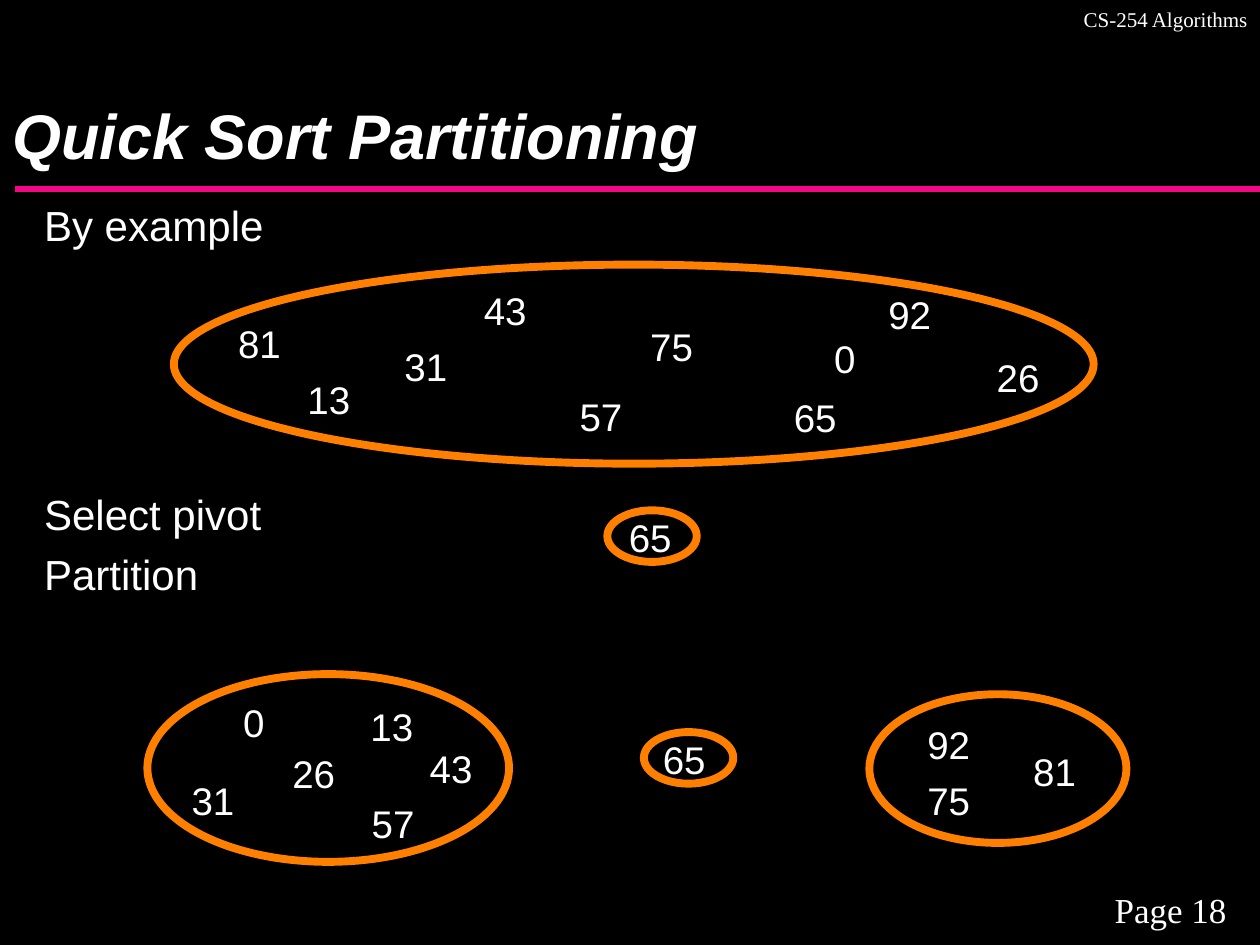
from lxml.etree import SubElement
from pptx import Presentation
from pptx.dml.color import RGBColor
from pptx.enum.shapes import MSO_CONNECTOR, MSO_SHAPE
from pptx.enum.text import MSO_ANCHOR, MSO_AUTO_SIZE, PP_ALIGN
from pptx.oxml.ns import qn
from pptx.util import Inches, Pt

BLACK = RGBColor(0x00, 0x00, 0x00)
WHITE = RGBColor(0xFF, 0xFF, 0xFF)
PINK = RGBColor(0xF2, 0x08, 0x84)
ORANGE = RGBColor(0xFF, 0x80, 0x00)

UNSORTED = [
    ("81", 1.8, 2.5), ("31", 3.12, 2.68), ("75", 5.07, 2.52),
    ("13", 2.35, 2.94), ("43", 3.75, 2.24), ("57", 4.51, 3.08),
    ("92", 6.96, 2.27), ("65", 6.21, 3.09), ("26", 7.82, 2.77),
    ("0", 6.53, 2.62),
]
PIVOT = [("65", 4.9, 4.04)]
SMALLER = [
    ("0", 1.84, 5.51), ("13", 2.85, 5.54), ("26", 2.23, 5.91),
    ("43", 3.32, 5.87), ("31", 1.43, 6.13), ("57", 2.86, 6.31),
]
PLACED_PIVOT = [("65", 5.17, 5.8)]
LARGER = [("92", 7.27, 5.68), ("81", 8.11, 5.9), ("75", 7.27, 6.13)]

GROUPS = [
    (UNSORTED, (1.38, 2.1, 7.3, 1.58)),
    (PIVOT, (4.82, 4.05, 0.71, 0.41)),
    (SMALLER, (1.17, 5.35, 2.87, 1.49)),
    (PLACED_PIVOT, (5.11, 5.81, 0.71, 0.41)),
    (LARGER, (6.9, 5.51, 2.04, 1.18)),
]
STEPS = [("By example", 0), ("Select pivot", 139.5), ("Partition", 8.6)]


class SlideBuilder:
    heading_font = "Arial"
    margin_font = "Times New Roman"

    def __init__(self, slide):
        self.slide = slide
        slide.background.fill.solid()
        slide.background.fill.fore_color.rgb = BLACK

    def style(self, paragraph, size, name, bold=False, italic=False):
        font = paragraph.font
        font.name, font.size = name, Pt(size)
        font.bold, font.italic = bold, italic
        font.color.rgb = WHITE

    def place(self, placeholder, left, top, width, height):
        placeholder.left, placeholder.top = Inches(left), Inches(top)
        placeholder.width, placeholder.height = Inches(width), Inches(height)
        placeholder.text_frame.auto_size = MSO_AUTO_SIZE.NONE
        return placeholder.text_frame

    def title(self, text, *box):
        frame = self.place(self.slide.shapes.title, *box)
        frame.vertical_anchor = MSO_ANCHOR.BOTTOM
        frame.text = text
        heading = frame.paragraphs[0]
        heading.alignment = PP_ALIGN.LEFT
        heading.line_spacing = 0.89
        self.style(heading, 36, self.heading_font, bold=True, italic=True)

    def steps(self, entries, *box):
        frame = self.place(self.slide.placeholders[1], *box)
        frame.vertical_anchor = MSO_ANCHOR.TOP
        frame.text = "\n".join(text for text, _ in entries)
        for step, (_, gap) in zip(frame.paragraphs, entries):
            step.line_spacing = 0.89
            step.space_before = Pt(gap)
            self.style(step, 24, self.heading_font)
            properties = step._p.get_or_add_pPr()
            properties.set("marL", str(Inches(0.25)))
            properties.set("indent", "0")
            SubElement(properties, qn("a:buNone"))

    def margin_note(self, text, size, alignment, *box):
        frame = self.slide.shapes.add_textbox(*map(Inches, box)).text_frame
        frame.word_wrap = True
        frame.text = text
        frame.paragraphs[0].alignment = alignment
        self.style(frame.paragraphs[0], size, self.margin_font)

    def number(self, text, left, top):
        width = 0.18 + 0.17 * len(text)
        box = map(Inches, (left, top, width, 0.45))
        frame = self.slide.shapes.add_textbox(*box).text_frame
        frame.margin_left = frame.margin_right = Inches(0.09)
        frame.margin_top = frame.margin_bottom = Inches(0.04)
        frame.word_wrap = False
        frame.auto_size = MSO_AUTO_SIZE.SHAPE_TO_FIT_TEXT
        frame.text = text
        self.style(frame.paragraphs[0], 22, self.heading_font)

    def ring(self, *box):
        ellipse = self.slide.shapes.add_shape(MSO_SHAPE.OVAL, *map(Inches, box))
        ellipse.shadow.inherit = False
        ellipse.fill.background()
        ellipse.line.color.rgb = ORANGE
        ellipse.line.width = Pt(4.5)

    def rule(self, *ends):
        divider = self.slide.shapes.add_connector(
            MSO_CONNECTOR.STRAIGHT, *map(Inches, ends))
        divider.line.color.rgb = PINK
        divider.line.width = Pt(3.75)
        SubElement(divider._element.spPr, qn("a:effectLst"))


def main():
    deck = Presentation()
    deck.slide_width, deck.slide_height = Inches(10), Inches(7.5)
    builder = SlideBuilder(deck.slides.add_slide(deck.slide_layouts[1]))
    builder.rule(0.12, 1.5, 10, 1.5)
    builder.margin_note("Page 18", 20, PP_ALIGN.CENTER, 8.58, 7, 1.42, 0.43)
    builder.margin_note("CS-254 Algorithms", 12, PP_ALIGN.RIGHT, 5.58, 0, 4.42, 0.3)
    builder.title("Quick Sort Partitioning", 0, 0, 10, 1.42)
    builder.steps(STEPS, 0, 1.58, 9.83, 5.42)
    for numbers, outline in GROUPS:
        for number in numbers:
            builder.number(*number)
        builder.ring(*outline)
    deck.save("out.pptx")


if __name__ == "__main__":
    main()
